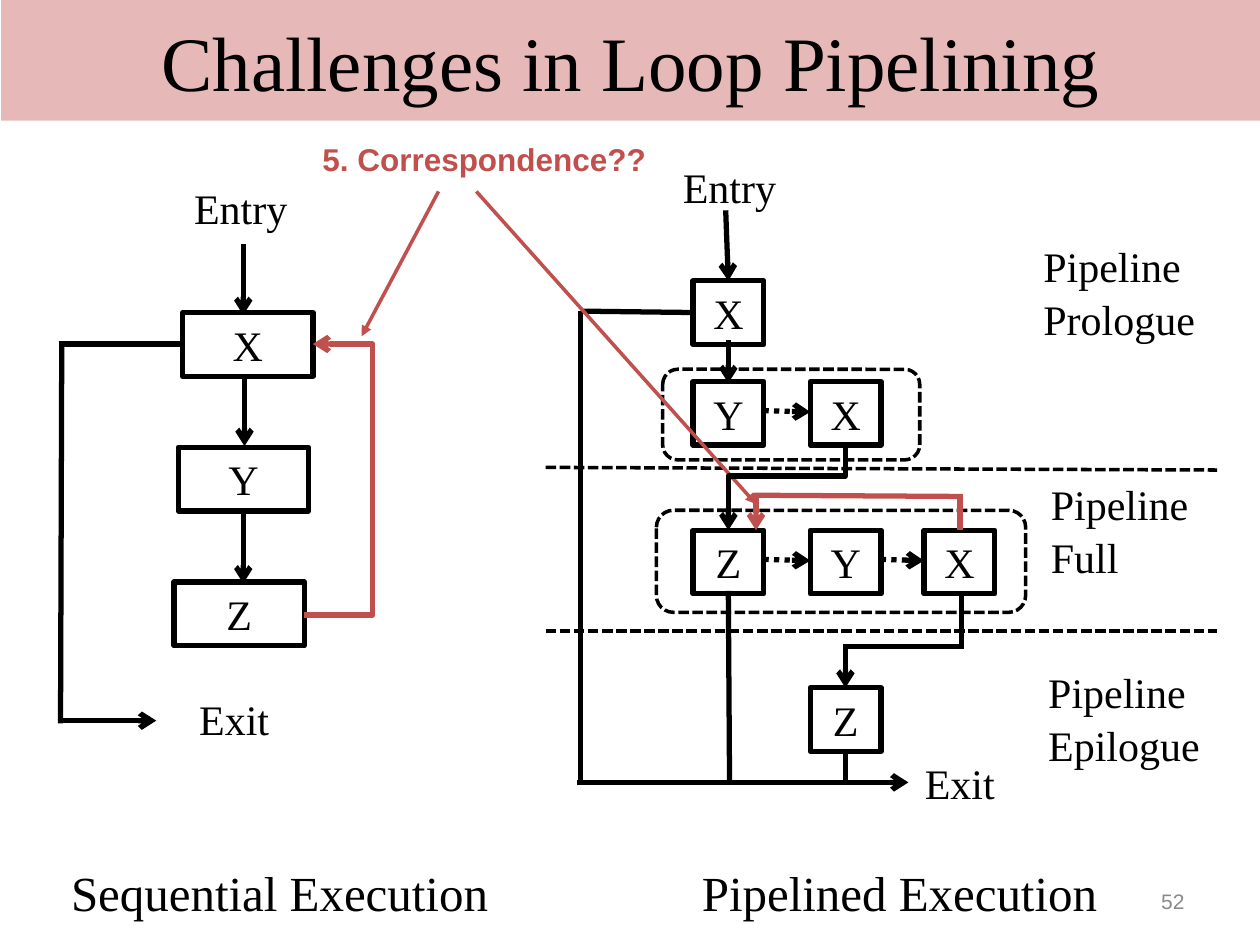
import pptx
import pptx.util
import pptx.oxml
import pptx.oxml.ns
import pptx.dml.color
import pptx.enum.dml
import pptx.enum.shapes
import pptx.enum.text

Pt = pptx.util.Pt
SHAPE = pptx.enum.shapes.MSO_SHAPE
LINK = pptx.enum.shapes.MSO_CONNECTOR
DASH = pptx.enum.dml.MSO_LINE
ALIGN = pptx.enum.text.PP_ALIGN
ANCHOR = pptx.enum.text.MSO_ANCHOR

THEME = {
    "ink": "000000", "accent": "C0504D", "band": "E6B9B8", "muted": "898989",
    "serif": "Times New Roman", "sans": "Arial",
    "title": 44, "caption": 28, "body": 24, "note": 18, "number": 12,
    "thick": 3, "thin": 2,
}

# Stage boxes: letter, left, top
COLS = (396, 463, 528)
ROWS = (160.5, 218, 303, 393)
PIPE = [("X", 0, 0), ("Y", 0, 1), ("X", 1, 1),
        ("Z", 0, 2), ("Y", 1, 2), ("X", 2, 2), ("Z", 1, 3)]
SEQ = ["X", "Y", "Z"]
SMALL, WIDE = (40.5, 36.4), (74.5, 36.4)
SEQ_AT, SEQ_STEP = (104.4, 178.6), (-2.5, 77)

# Labels: text, left, top, width, height
LABELS = [
    ("Entry", 386.6, 89.3, 90, 32.4),
    ("Exit", 524.9, 429.8, 63.4, 32.4),
    ("Entry", 107.3, 101.5, 69.1, 32.4),
    ("Exit", 110.2, 393.1, 116.6, 32.4),
    ("Pipeline Prologue", 592.6, 134.6, 97.9, 61.2),
    ("Pipeline Full", 596.9, 270.7, 97.9, 61.2),
    ("Pipeline Epilogue", 595.4, 378, 97.9, 61.2),
]
CAPTIONS = [
    ("Sequential Execution", 5, 489, 309.6, 41),
    ("Pipelined Execution", 372.2, 489, 283.7, 41),
]
FRAMES = [(378.7, 211, 146.9, 51.8), (375.1, 291.6, 211, 58.3)]

# Lines by style: x1, y1, x2, y2
FLOWS = [
    (414.7, 120.2, 416.2, 160.5), (416.2, 194.4, 416.2, 218.9),
    (483.1, 369.4, 483.1, 393), (499.7, 447.1, 519.1, 447.1),
    (139, 139.7, 139, 180), (139.7, 214.6, 139.7, 254.9),
    (139, 293.8, 139, 333.4), (33.1, 411.8, 89.3, 411.8),
]
WIRES = [
    (331.9, 177.8, 396, 178.6), (331.9, 177.8, 331.9, 446.4),
    (329.8, 447.1, 501.8, 447.1), (416.2, 337.7, 416.9, 447.8),
    (483.1, 429.8, 483.1, 447.1), (481.7, 369.4, 550.8, 369.4),
    (549.4, 338.4, 549.4, 370.1), (33.8, 196.6, 104.4, 196.6),
    (35.3, 195.1, 34.6, 413.3),
]
STEPS = [(436.3, 234.7, 463, 235.4), (436.3, 319.7, 463, 320.4),
         (503.3, 319.7, 528, 320.4)]
DIVIDES = [(311.8, 267.1, 695.5, 268.6), (311.8, 360.7, 695.5, 360.7)]
BACK = [(430.6, 283, 550, 283.7), (548.6, 282.2, 548.6, 303)]
BACK_TIP = [(432, 281.5, 432, 303)]
POINTERS = [(250.6, 109.4, 206.6, 192.2), (272.2, 109.4, 432, 288)]

# color, width, dash, arrowhead, lines
LINES = [
    ("ink", "thick", None, "arrow", FLOWS),
    ("ink", "thick", None, None, WIRES),
    ("ink", "thick", DASH.ROUND_DOT, "arrow", STEPS),
    ("ink", "thin", DASH.SQUARE_DOT, None, DIVIDES),
    ("accent", "thick", None, "arrow", BACK_TIP),
    ("accent", "thick", None, None, BACK),
    ("accent", "thin", None, "triangle", POINTERS),
]

deck = pptx.Presentation()
deck.slide_width, deck.slide_height = Pt(720), Pt(540)
slide = deck.slides.add_slide(deck.slide_layouts[6])


def tint(name):
    return pptx.dml.color.RGBColor.from_string(THEME[name])


def stroke(line, color, width, dash=None):
    line.color.rgb = tint(color)
    line.width = Pt(THEME[width])
    if dash:
        line.dash_style = dash


def write(shape, text, size, font="serif", color="ink", align=ALIGN.LEFT,
          anchor=ANCHOR.TOP, pad=(7.2, 3.6), bold=False, gap=None):
    frame = shape.text_frame
    frame.word_wrap = True
    frame.vertical_anchor = anchor
    frame.margin_left = frame.margin_right = Pt(pad[0])
    frame.margin_top = frame.margin_bottom = Pt(pad[1])
    para = frame.paragraphs[0]
    para.text = text
    para.alignment = align
    if gap:
        para.line_spacing = gap
    para.font.name = THEME[font]
    para.font.size = Pt(THEME[size])
    para.font.bold = bold
    para.font.color.rgb = tint(color)


def label(text, place, size, **style):
    write(slide.shapes.add_textbox(*map(Pt, place)), text, size, **style)


def block(kind, place):
    shape = slide.shapes.add_shape(kind, *map(Pt, place))
    shape.shadow.inherit = False
    shape.fill.background()
    return shape


def stage(text, place):
    shape = block(SHAPE.RECTANGLE, place)
    stroke(shape.line, "ink", "thick")
    write(shape, text, "body", align=ALIGN.CENTER, anchor=ANCHOR.MIDDLE,
          pad=(3.6, 1.8))


def link(kind, ends, color, width, dash=None, head=None):
    wire = slide.shapes.add_connector(kind, *map(Pt, ends))
    stroke(wire.line, color, width, dash)
    props = wire._element.spPr
    if head:
        tip = pptx.oxml.ns.qn("a:tailEnd")
        props.find(pptx.oxml.ns.qn("a:ln")).append(
            props.makeelement(tip, {"type": head}))
    props.append(props.makeelement(pptx.oxml.ns.qn("a:effectLst"), {}))
    return wire


def bend(wire, ratio):
    """Put the middle leg of an elbow at a share of its run."""
    guides = wire._element.spPr.prstGeom.get_or_add_avLst()
    guides.append(guides.makeelement(pptx.oxml.ns.qn("a:gd"), {
        "name": "adj1", "fmla": f"val {round(ratio * 100000)}"}))


def side(x1, y1, x2, y2, via, color):
    wire = link(LINK.ELBOW, (x1, y1, x2, y2), color, "thick", head="arrow")
    bend(wire, (via - x1) / (x2 - x1))


def drop(x1, y1, x2, y2, via, color):
    """Elbow that leaves downward and ends lower left: a quarter turn."""
    midx, midy = (x1 + x2) / 2, (y1 + y2) / 2
    runx, runy = (y2 - y1) / 2, (x1 - x2) / 2
    ends = (midx - runx, midy - runy, midx + runx, midy + runy)
    wire = link(LINK.ELBOW, ends, color, "thick", head="arrow")
    wire._element.spPr.xfrm.set("rot", str(90 * 60000))
    bend(wire, (via - y1) / (y2 - y1))


title = block(SHAPE.RECTANGLE, (0.7, 0, 720, 69))
title.fill.solid()
title.fill.fore_color.rgb = tint("band")
title.line.fill.background()
write(title, "Challenges in Loop Pipelining", "title",
      align=ALIGN.CENTER, anchor=ANCHOR.MIDDLE)

for text, col, row in PIPE:
    stage(text, (COLS[col], ROWS[row], *SMALL))
for i, text in enumerate(SEQ):
    left, top = (at + i * step for at, step in zip(SEQ_AT, SEQ_STEP))
    stage(text, (left, top, *WIDE))
for place in FRAMES:
    stroke(block(SHAPE.ROUNDED_RECTANGLE, place).line,
           "ink", "thin", DASH.SQUARE_DOT)

for color, width, dash, head, group in LINES:
    for ends in group:
        link(LINK.STRAIGHT, ends, color, width, dash, head)
side(173.5, 351.4, 178.75, 196.6, 213.1, "accent")
drop(483.1, 254.2, 416.2, 303, 272.1, "ink")

for text, *place in LABELS:
    label(text, place, "body", pad=(3.6, 1.8), gap=1.04)
for text, *place in CAPTIONS:
    label(text, place, "caption", align=ALIGN.CENTER, anchor=ANCHOR.BOTTOM)
label("5. Correspondence??", (177.1, 76.3, 200.9, 28.8), "note",
      font="sans", color="accent", bold=True)
label("52", (516.2, 500.4, 167.8, 28.8), "number", font="sans",
      color="muted", align=ALIGN.RIGHT, anchor=ANCHOR.MIDDLE)

deck.save("out.pptx")
